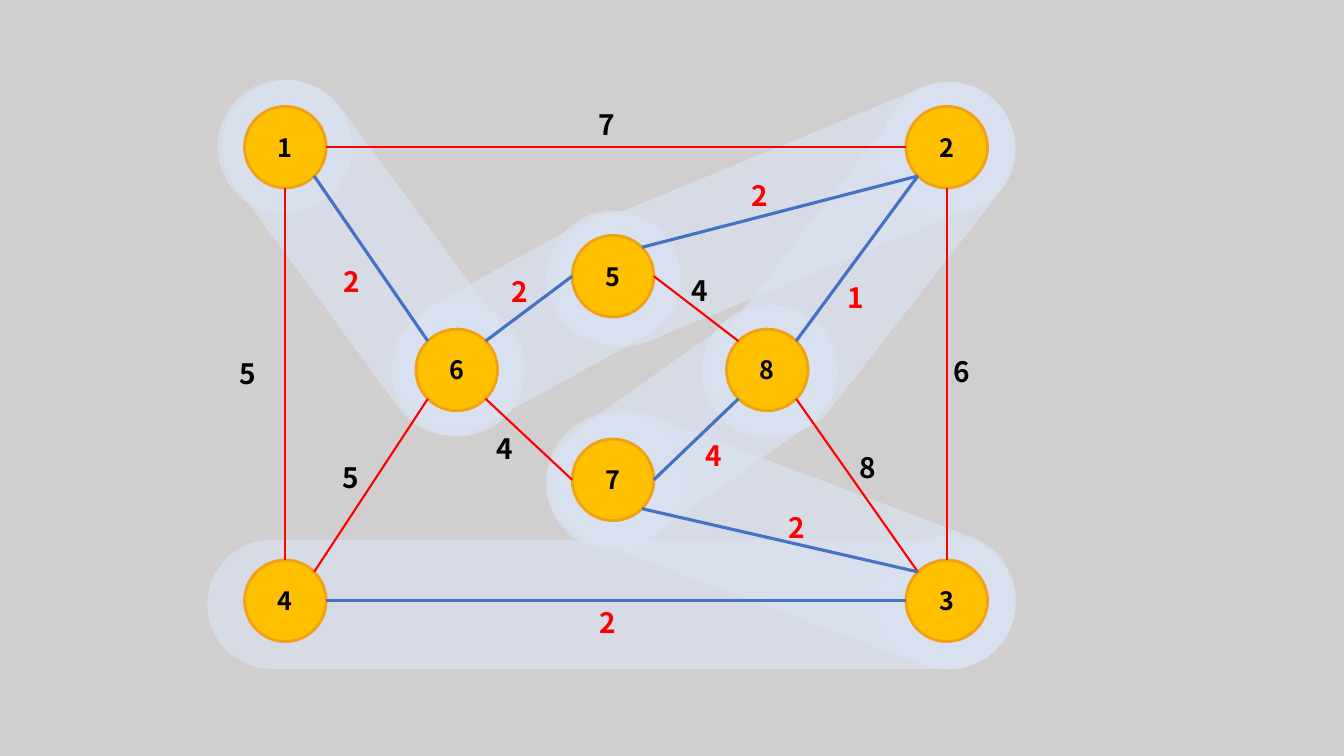
from lxml.etree import SubElement
from math import sqrt
from pptx import Presentation
from pptx.dml.color import RGBColor
from pptx.enum.shapes import MSO_CONNECTOR, MSO_SHAPE
from pptx.enum.text import MSO_ANCHOR, MSO_AUTO_SIZE, PP_ALIGN
from pptx.oxml.ns import qn
from pptx.util import Inches, Pt

GREY = RGBColor(0xD0, 0xCE, 0xCE)
PALE = RGBColor(0xDA, 0xE3, 0xF3)
GOLD = RGBColor(0xFF, 0xC0, 0x00)
AMBER = RGBColor(0xF1, 0xA1, 0x16)
RED = RGBColor(0xFF, 0x00, 0x00)
BLUE = RGBColor(0x44, 0x72, 0xC4)
BLACK = RGBColor(0x00, 0x00, 0x00)

NODE, HALO = 0.81, 1.33
DIAG = sqrt(0.5)
SITES = {
    "N": (0, -1), "S": (0, 1), "W": (-1, 0), "E": (1, 0),
    "NW": (-DIAG, -DIAG), "NE": (DIAG, -DIAG),
    "SW": (-DIAG, DIAG), "SE": (DIAG, DIAG),
}
NODES = {
    1: (2.83, 1.46), 2: (9.39, 1.46), 3: (9.39, 5.96), 4: (2.83, 5.96),
    5: (6.08, 2.74), 6: (4.53, 3.67), 7: (6.08, 4.76), 8: (7.61, 3.67),
}
BANDS = [
    (5.42, 1.99, 1.28, 8.01, 90),
    (7.12, 2.97, 1.36, 4.78, 110.7),
    (6.22, 2.62, 1.29, 3.25, 54.7),
    (3.02, 0.53, 1.3, 4.06, 143.7),
    (7.93, 0.54, 1.29, 4.07, 37.9),
    (7.15, -0.27, 1.29, 4.79, 67.6),
    (4.7, 1.67, 1.29, 3.02, 61.2),
]
HALOS = [(8.74, 5.31), (5.42, 4.1), (2.16, 0.79), (6.96, 3.02),
         (8.74, 0.81), (3.88, 3), (5.42, 2.09)]
PLAIN = [
    (1, "E", 2, "W", "7", 5.84, 1.02),
    (4, "NE", 6, "SW", "5", 3.3, 4.52),
    (4, "N", 1, "S", "5", 2.28, 3.49),
    (6, "SE", 7, "W", "4", 4.83, 4.23),
    (5, "E", 8, "NW", "4", 6.76, 2.66),
    (8, "SE", 3, "NW", "8", 8.43, 4.42),
    (3, "N", 2, "S", "6", 9.36, 3.47),
]
TREE = [
    (1, "SE", 6, "NW", "2", 3.31, 2.57),
    (4, "E", 3, "W", "2", 5.85, 5.96),
    (6, "NE", 5, "W", "2", 4.98, 2.67),
    (8, "NE", 2, "SW", "1", 8.31, 2.73),
    (7, "E", 8, "SW", "4", 6.9, 4.3),
    (5, "NE", 2, "SW", "2", 7.36, 1.72),
    (7, "SE", 3, "NW", "2", 7.72, 5.02),
]


class Graph:
    """Draws a weighted graph and its spanning tree on one slide."""

    def __init__(self, slide, face="Noto Sans CJK KR"):
        self.slide = slide
        self.face = face
        fill = slide.background.fill
        fill.solid()
        fill.fore_color.rgb = GREY

    def shape(self, kind, left, top, width, height, color):
        item = self.slide.shapes.add_shape(
            kind, Inches(left), Inches(top), Inches(width), Inches(height))
        item.shadow.inherit = False
        item.fill.solid()
        item.fill.fore_color.rgb = color
        return item

    def glow(self, kind, left, top, width, height, angle=0):
        item = self.shape(kind, left, top, width, height, PALE)
        item.rotation = angle
        item.line.fill.background()
        if kind == MSO_SHAPE.ROUNDED_RECTANGLE:
            item.adjustments[0] = 0.5
        tint = item._element.spPr.find(qn("a:solidFill"))[0]
        SubElement(tint, qn("a:alpha"), val="63000")

    def letter(self, frame, text, size, color):
        para = frame.paragraphs[0]
        para.text = text
        font = para.font
        font.name, font.size, font.bold = self.face, Pt(size), True
        font.color.rgb = color
        return para

    def node(self, name, x, y):
        item = self.shape(MSO_SHAPE.OVAL, x - NODE / 2, y - NODE / 2, NODE, NODE, GOLD)
        item.line.color.rgb = AMBER
        item.line.width = Pt(2)
        frame = item.text_frame
        frame.vertical_anchor = MSO_ANCHOR.MIDDLE
        self.letter(frame, str(name), 18, BLACK).alignment = PP_ALIGN.CENTER

    def port(self, name, side):
        return [Inches(mid + step * NODE / 2)
                for mid, step in zip(NODES[name], SITES[side])]

    def edge(self, start, out, end, into, color, width):
        line = self.slide.shapes.add_connector(
            MSO_CONNECTOR.STRAIGHT, *self.port(start, out), *self.port(end, into))
        line.line.color.rgb = color
        line.line.width = Pt(width)
        SubElement(line._element.spPr, qn("a:effectLst"))

    def label(self, text, left, top, color):
        box = self.slide.shapes.add_textbox(
            Inches(left), Inches(top), Inches(0.36), Inches(0.44))
        frame = box.text_frame
        frame.word_wrap = False
        frame.auto_size = MSO_AUTO_SIZE.SHAPE_TO_FIT_TEXT
        self.letter(frame, text, 20, color)


def main():
    deck = Presentation()
    deck.slide_width, deck.slide_height = Inches(13.33), Inches(7.5)
    graph = Graph(deck.slides.add_slide(deck.slide_layouts[6]))
    for band in BANDS:
        graph.glow(MSO_SHAPE.ROUNDED_RECTANGLE, *band)
    for left, top in HALOS:
        graph.glow(MSO_SHAPE.OVAL, left, top, HALO, HALO)
    for name, spot in NODES.items():
        graph.node(name, *spot)
    groups = [(PLAIN, RED, 1.5, BLACK), (TREE, BLUE, 2.25, RED)]
    for edges, color, width, ink in groups:
        for *ends, cost, left, top in edges:
            graph.edge(*ends, color, width)
            graph.label(cost, left, top, ink)
    deck.save("out.pptx")


if __name__ == "__main__":
    main()
